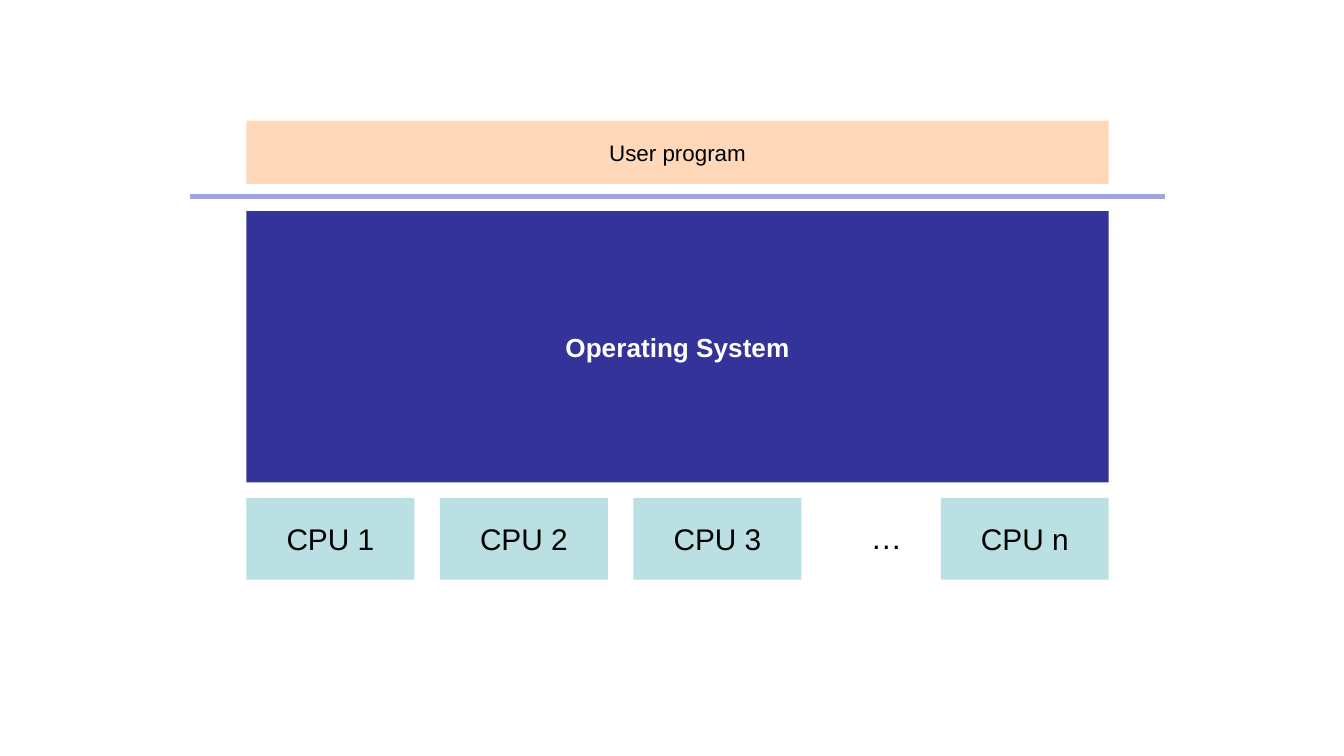
"""Build a slide of a user program and an operating system above several CPUs."""

from dataclasses import dataclass

from lxml.etree import SubElement
from pptx import Presentation
from pptx.dml.color import RGBColor
from pptx.enum.shapes import MSO_CONNECTOR, MSO_SHAPE
from pptx.enum.text import MSO_ANCHOR, MSO_AUTO_SIZE, PP_ALIGN
from pptx.oxml.ns import qn
from pptx.shapes.autoshape import Shape
from pptx.slide import Slide
from pptx.util import Inches, Pt

PEACH = RGBColor(0xFF, 0xD8, 0xB9)
NAVY = RGBColor(0x33, 0x33, 0x99)
LAVENDER = RGBColor(0xA3, 0xA3, 0xE0)
AQUA = RGBColor(0xBB, 0xE0, 0xE3)
BLACK = RGBColor(0x00, 0x00, 0x00)
WHITE = RGBColor(0xFF, 0xFF, 0xFF)

FONT = "Arial"
PAGE_WIDTH = Inches(10)
PAGE_HEIGHT = PAGE_WIDTH * 9 // 16
UNIT = PAGE_WIDTH / 100
STACK_LEFT = 18.33
STACK_WIDTH = 64.17
CPU_WIDTH = 12.5
CPU_STEP = 14.4
CPU_TOP = 37.04
CPU_HEIGHT = 6.1
LAST_CPU_LEFT = STACK_LEFT + STACK_WIDTH - CPU_WIDTH


@dataclass(frozen=True)
class Block:
    """A labelled rectangle, with lengths in grid units."""

    label: str
    left: float
    top: float
    width: float
    height: float
    fill: RGBColor
    size: float
    color: RGBColor = BLACK
    bold: bool = False


def units(count: float) -> int:
    """Turn grid units into a length."""
    return round(count * UNIT)


def write_label(box: Shape, label: str, size: float, color: RGBColor, bold: bool = False) -> None:
    """Centre one run of text in a box."""
    frame = box.text_frame
    frame.word_wrap = True
    frame.vertical_anchor = MSO_ANCHOR.MIDDLE
    para = frame.paragraphs[0]
    para.alignment = PP_ALIGN.CENTER
    span = para.add_run()
    span.text = label
    span.font.name = FONT
    span.font.size = Pt(size)
    span.font.bold = bold
    span.font.color.rgb = color


def draw_block(page: Slide, block: Block) -> None:
    """Draw a filled rectangle with its label."""
    box = page.shapes.add_shape(
        MSO_SHAPE.RECTANGLE,
        units(block.left), units(block.top), units(block.width), units(block.height),
    )
    box.shadow.inherit = False
    box.fill.solid()
    box.fill.fore_color.rgb = block.fill
    box.line.fill.background()
    write_label(box, block.label, block.size, block.color, block.bold)


def draw_boundary(page: Slide, left: float, right: float, top: float) -> None:
    """Draw the line between the user program and the system."""
    line = page.shapes.add_connector(
        MSO_CONNECTOR.STRAIGHT, units(left), units(top), units(right), units(top)
    )
    line.line.color.rgb = LAVENDER
    line.line.width = Pt(2.5)
    SubElement(line._element.spPr, qn("a:effectLst"))


def draw_ellipsis(page: Slide) -> None:
    """Draw the dots that stand for the CPUs left out."""
    box = page.shapes.add_textbox(units(63.8), units(38), units(2.1), units(3.9))
    write_label(box, "…", 16.9, BLACK)
    box.text_frame.auto_size = MSO_AUTO_SIZE.SHAPE_TO_FIT_TEXT


def main() -> None:
    """Build and save the deck."""
    deck = Presentation()
    deck.slide_width = PAGE_WIDTH
    deck.slide_height = PAGE_HEIGHT
    page = deck.slides.add_slide(deck.slide_layouts[6])

    draw_block(page, Block("User program", STACK_LEFT, 8.97, STACK_WIDTH, 4.72, PEACH, 12))
    draw_block(
        page,
        Block("Operating System", STACK_LEFT, 15.7, STACK_WIDTH, 20.2, NAVY, 14, WHITE, True),
    )
    draw_boundary(page, 14.15, 86.7, 14.6)

    cpus = [(f"CPU {number + 1}", STACK_LEFT + number * CPU_STEP) for number in range(3)]
    for label, left in [*cpus, ("CPU n", LAST_CPU_LEFT)]:
        draw_block(page, Block(label, left, CPU_TOP, CPU_WIDTH, CPU_HEIGHT, AQUA, 16))
    draw_ellipsis(page)

    deck.save("out.pptx")


if __name__ == "__main__":
    main()
